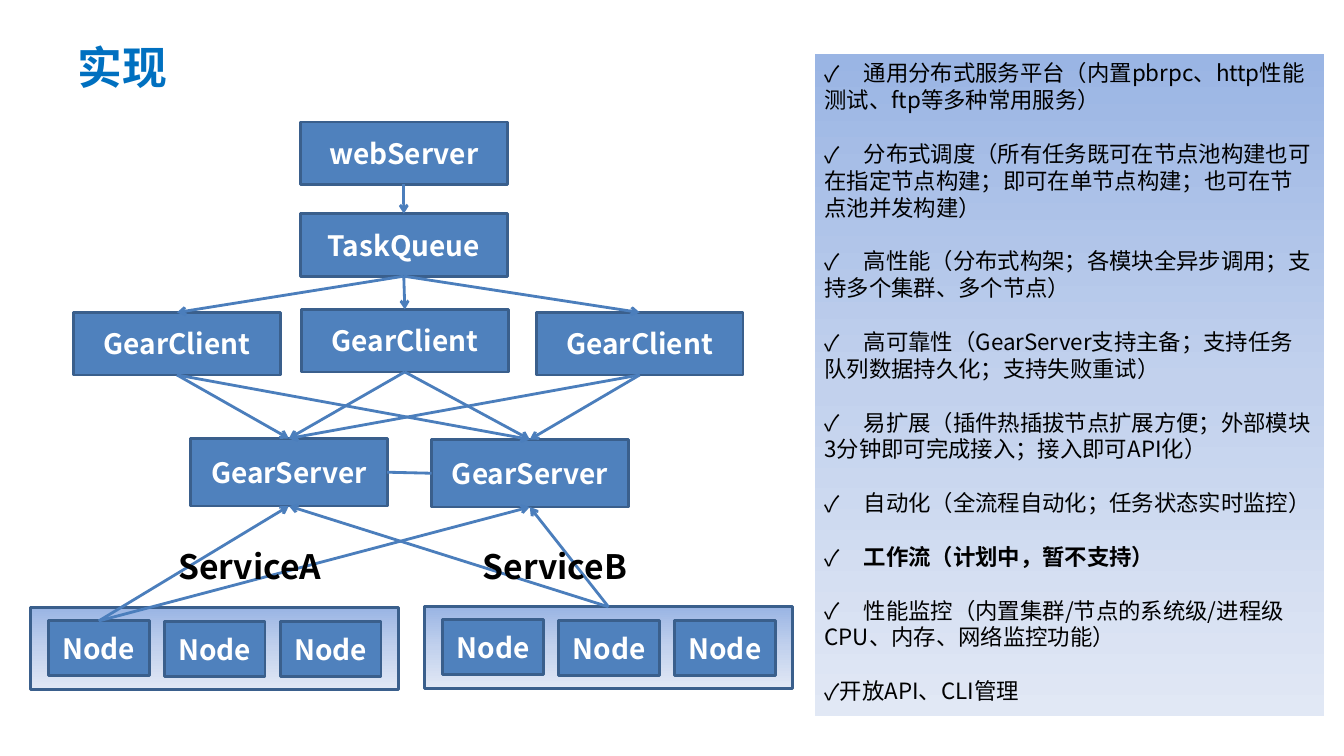
from copy import deepcopy
from lxml import etree
from pptx import Presentation
from pptx.dml.color import RGBColor
from pptx.enum.shapes import MSO_CONNECTOR, MSO_SHAPE
from pptx.enum.text import MSO_ANCHOR, PP_ALIGN
from pptx.oxml.ns import qn
from pptx.util import Inches, Pt

COLORS = {
    "title": "0070C0", "box": "4F81BD", "border": "3A5F8C", "arrow": "4B7EBC",
    "white": "FFFFFF", "black": "000000",
    "top": "9AB5E4", "middle": "C2D1ED", "bottom": "E1E8F5",
}
COLORS = {name: RGBColor.from_string(value) for name, value in COLORS.items()}
FONT = "Noto Sans CJK SC"

deck = Presentation()
deck.slide_width, deck.slide_height = Inches(13.33), Inches(7.5)
page = deck.slides.add_slide(deck.slide_layouts[6])


def style_text(para, size, color, bold=False):
    """Set the Latin and East Asian font of a paragraph."""
    font = para.font
    font.size, font.bold, font.name = Pt(size), bold, FONT
    font.color.rgb = COLORS[color]
    etree.SubElement(para._p.pPr.find(qn("a:defRPr")), qn("a:ea"), typeface=FONT)


def add_box(left, top, width, height, label=None):
    """Add a solid box with a label, or a gradient panel without one."""
    box = page.shapes.add_shape(MSO_SHAPE.RECTANGLE, Inches(left), Inches(top),
                                Inches(width), Inches(height))
    box.shadow.inherit = False
    box.line.color.rgb = COLORS["border"]
    box.line.width = Pt(2)
    if label:
        box.fill.solid()
        box.fill.fore_color.rgb = COLORS["box"]
        para = box.text_frame.paragraphs[0]
        para.text, para.alignment = label, PP_ALIGN.CENTER
        style_text(para, 20, "white", True)
        return box
    box.fill.gradient()
    box.fill.gradient_angle = 270
    first_stop = box.fill.gradient_stops[0]._gs
    first_stop.addnext(deepcopy(first_stop))
    for stop, position, color in zip(box.fill.gradient_stops, (0, 0.5, 1),
                                     ("top", "middle", "bottom")):
        stop.position, stop.color.rgb = position, COLORS[color]
    return box


# Services with their nodes
services, nodes = [], []
for left, top in ((0.3, 6.03), (4.21, 6.02)):
    services.append(add_box(left, top, 3.65, 0.81))
    for column in range(3):
        nodes.append(add_box(left + 0.18 + 1.15 * column, top + 0.13 + 0.01 * (column > 0),
                             1, 0.54, "Node"))

# Upper tiers
web_server = add_box(2.98, 1.21, 2.05, 0.62, "webServer")
task_queue = add_box(2.98, 2.12, 2.05, 0.62, "TaskQueue")
clients = [add_box(left, top, 2.05, 0.62, "GearClient")
           for left, top in ((0.73, 3.1), (2.99, 3.07), (5.32, 3.1))]
servers = [add_box(left, top, 1.95, 0.67, "GearServer")
           for left, top in ((1.89, 4.35), (4.28, 4.36))]

# Links: start box, start site, end box, end site
TOP, LEFT, BOTTOM, RIGHT = range(4)
links = [(web_server, BOTTOM, task_queue, TOP), (servers[0], RIGHT, servers[1], LEFT)]
links += [(task_queue, BOTTOM, client, TOP) for client in clients]
links += [(client, BOTTOM, server, TOP) for client in clients for server in servers]
links += [(source, TOP, server, BOTTOM)
          for source in (nodes[0], services[1]) for server in servers]
for start, start_site, end, end_site in links:
    link = page.shapes.add_connector(MSO_CONNECTOR.STRAIGHT, 0, 0, 0, 0)
    link.begin_connect(start, start_site)
    link.end_connect(end, end_site)
    link.line.color.rgb = COLORS["arrow"]
    link.line.width = Pt(2)
    if start_site != RIGHT:
        etree.SubElement(link.line._get_or_add_ln(), qn("a:tailEnd"), type="arrow")
    etree.SubElement(link._element.spPr, qn("a:effectLst"))

# Title and service names
for text, left, top, width, height, size, color in (
        ("实现", 0.67, 0.28, 12, 0.77, 32, "title"),
        ("ServiceA", 1.67, 5.37, 1.76, 0.5, 24, "black"),
        ("ServiceB", 4.69, 5.37, 1.76, 0.5, 24, "black")):
    caption = page.shapes.add_textbox(Inches(left), Inches(top), Inches(width), Inches(height))
    frame = caption.text_frame
    frame.word_wrap, frame.vertical_anchor = True, MSO_ANCHOR.MIDDLE
    frame.paragraphs[0].text = text
    style_text(frame.paragraphs[0], size, color, True)

# Feature list
features = [
    "\t通用分布式服务平台（内置pbrpc、http性能测试、ftp等多种常用服务）",
    "\t分布式调度（所有任务既可在节点池构建也可在指定节点构建；即可在单节点构建；也可在节点池并发构建）",
    "\t高性能（分布式构架；各模块全异步调用；支持多个集群、多个节点）",
    "\t高可靠性（GearServer支持主备；支持任务队列数据持久化；支持失败重试）",
    "\t易扩展（插件热插拔节点扩展方便；外部模块3分钟即可完成接入；接入即可API化）",
    "\t自动化（全流程自动化；任务状态实时监控）",
    "\t工作流（计划中，暂不支持）",
    "\t性能监控（内置集群/节点的系统级/进程级CPU、内存、网络监控功能）",
    "开放API、CLI管理",
]
panel = add_box(8.08, 0.54, 5.05, 6.56)
panel.line.fill.background()
frame = panel.text_frame
frame.vertical_anchor = MSO_ANCHOR.TOP
for index, feature in enumerate(features):
    para = frame.add_paragraph() if index else frame.paragraphs[0]
    para.text, para.alignment = feature, PP_ALIGN.LEFT
    para.line_spacing = Pt(19.2)
    if index:
        para.space_before = Pt(19.2)
    properties = para._p.get_or_add_pPr()
    etree.SubElement(properties, qn("a:buFont"), typeface=FONT)
    etree.SubElement(properties, qn("a:buChar"), char="✓")
    tabs = etree.SubElement(properties, qn("a:tabLst"))
    etree.SubElement(tabs, qn("a:tab"), pos=str(Inches(0.39)), algn="l")
    style_text(para, 16, "black", "工作流" in feature)

deck.save("out.pptx")
